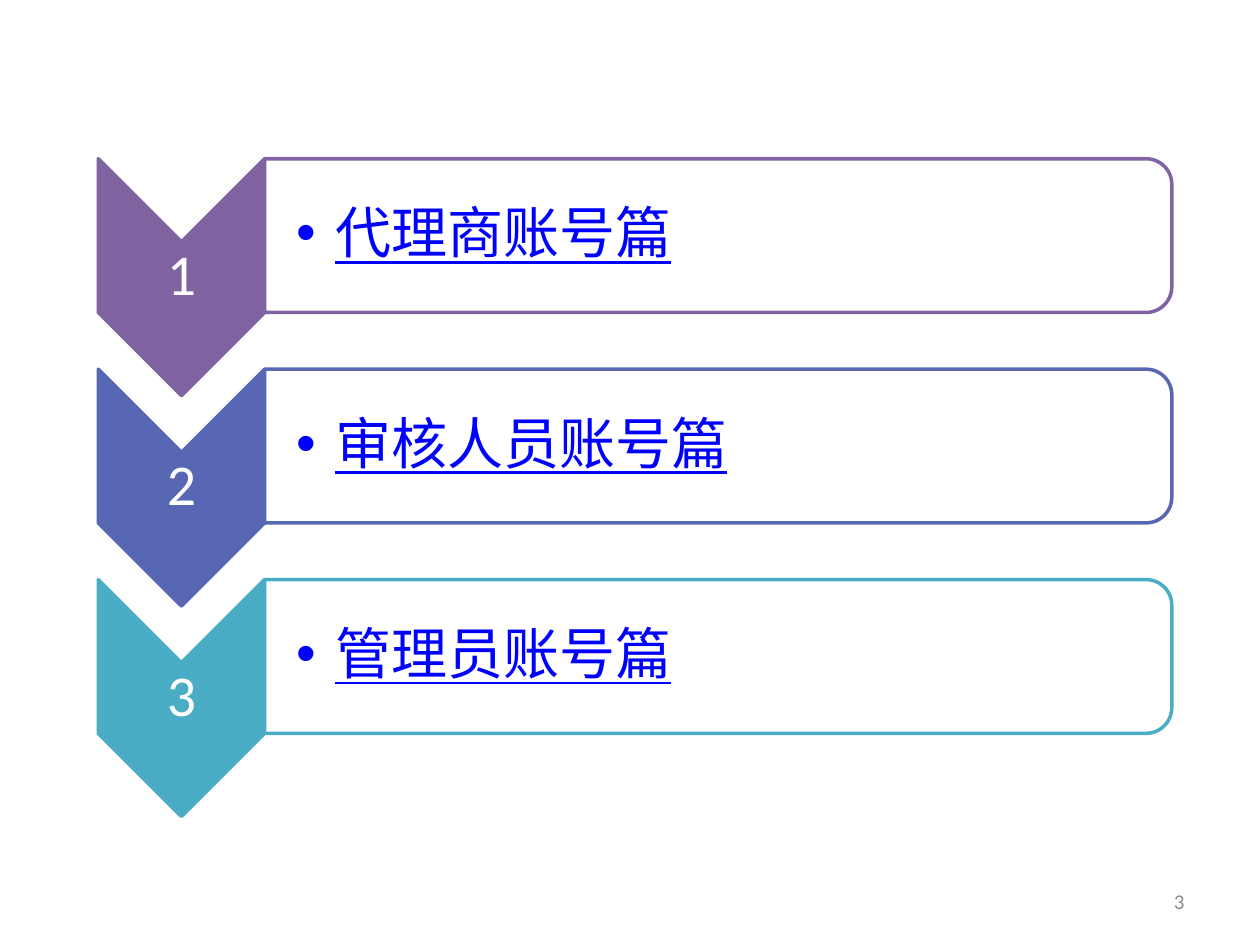
from dataclasses import dataclass

from lxml import etree
from pptx import Presentation
from pptx.dml.color import RGBColor
from pptx.enum import shapes, text
from pptx.oxml import ns
from pptx.util import Inches, Pt

WHITE = RGBColor(0xFF, 0xFF, 0xFF)
LINK_BLUE = RGBColor(0x00, 0x00, 0xFF)
GREY = RGBColor(0x8C, 0x8C, 0x8C)
PURPLE = RGBColor(0x80, 0x64, 0xA2)
INDIGO = RGBColor(0x57, 0x67, 0xB4)
TEAL = RGBColor(0x4B, 0xAC, 0xC6)

LEFT, TOP, ROW_PITCH = 0.78, 1.26, 1.67
CHEVRON_WIDTH, CHEVRON_HEIGHT = 1.32, 1.88
PANEL_WIDTH, PANEL_HEIGHT = 7.2, 1.22
PANEL_LEFT = LEFT + CHEVRON_WIDTH


@dataclass(frozen=True)
class Area:
    left: float
    top: float
    width: float
    height: float


@dataclass(frozen=True)
class Chapter:
    title: str
    color: RGBColor


CHAPTERS = [
    Chapter("代理商账号篇", PURPLE),
    Chapter("审核人员账号篇", INDIGO),
    Chapter("管理员账号篇", TEAL),
]


def add_turned_shape(page, kind, area: Area, fill: RGBColor, line: RGBColor):
    left = area.left + (area.width - area.height) / 2
    top = area.top + (area.height - area.width) / 2
    shape = page.shapes.add_shape(
        kind, Inches(left), Inches(top), Inches(area.height), Inches(area.width)
    )
    shape.rotation = 90
    shape.shadow.inherit = False
    shape.fill.solid()
    shape.fill.fore_color.rgb = fill
    shape.line.color.rgb = line
    shape.line.width = Pt(2)
    return shape


def make_translucent(shape, percent: int) -> None:
    color = shape.fill._xPr.find(ns.qn("a:solidFill"))[0]
    etree.SubElement(color, ns.qn("a:alpha"), val=str(percent * 1000))


def add_text(page, area: Area, words: str, size: float, font: str,
             color: RGBColor, align, margins=None):
    box = page.shapes.add_textbox(
        Inches(area.left), Inches(area.top), Inches(area.width), Inches(area.height)
    )
    frame = box.text_frame
    frame.word_wrap = True
    frame.vertical_anchor = text.MSO_ANCHOR.MIDDLE
    if margins:
        (frame.margin_left, frame.margin_top,
         frame.margin_right, frame.margin_bottom) = map(Inches, margins)
    para = frame.paragraphs[0]
    para.text = words
    para.alignment = align
    para.font.size = Pt(size)
    para.font.name = font
    para.font.color.rgb = color
    return para


def add_bullet(para, indent: float) -> None:
    properties = para._p.get_or_add_pPr()
    properties.set("marL", str(Inches(indent)))
    properties.set("indent", str(-Inches(indent)))
    defaults = properties.find(ns.qn("a:defRPr"))
    for tag, name, value in (("a:buFont", "typeface", "Arial"), ("a:buChar", "char", "•")):
        mark = etree.Element(ns.qn(tag))
        mark.set(name, value)
        defaults.addprevious(mark)


def add_chapter(page, row: int, chapter: Chapter) -> None:
    top = TOP + row * ROW_PITCH
    add_turned_shape(
        page, shapes.MSO_SHAPE.CHEVRON,
        Area(LEFT, top, CHEVRON_WIDTH, CHEVRON_HEIGHT), chapter.color, chapter.color,
    )
    number = add_text(
        page, Area(LEFT, top + 0.65, CHEVRON_WIDTH, 0.57), str(row + 1),
        33, "Calibri", WHITE, text.PP_ALIGN.CENTER, (0.02, 0.02, 0.02, 0.02),
    )
    number.line_spacing = 0.9
    panel = add_turned_shape(
        page, shapes.MSO_SHAPE.ROUND_2_SAME_RECTANGLE,
        Area(PANEL_LEFT, top, PANEL_WIDTH, PANEL_HEIGHT), WHITE, chapter.color,
    )
    make_translucent(panel, 90)
    title = add_text(
        page, Area(PANEL_LEFT, top + 0.06, PANEL_WIDTH - 0.06, PANEL_HEIGHT - 0.12),
        chapter.title, 32, "Noto Sans Mono", LINK_BLUE,
        text.PP_ALIGN.LEFT, (0.25, 0.02, 0.02, 0.02),
    )
    title.line_spacing = 0.9
    title.font.underline = True
    add_bullet(title, 0.31)


def main() -> None:
    deck = Presentation()
    deck.slide_width, deck.slide_height = Inches(10), Inches(7.5)
    page = deck.slides.add_slide(deck.slide_layouts[6])
    for row, chapter in enumerate(CHAPTERS):
        add_chapter(page, row, chapter)
    add_text(page, Area(7.17, 6.95, 2.33, 0.4), "3", 12, "Calibri", GREY,
             text.PP_ALIGN.RIGHT)
    deck.save("out.pptx")


if __name__ == "__main__":
    main()
